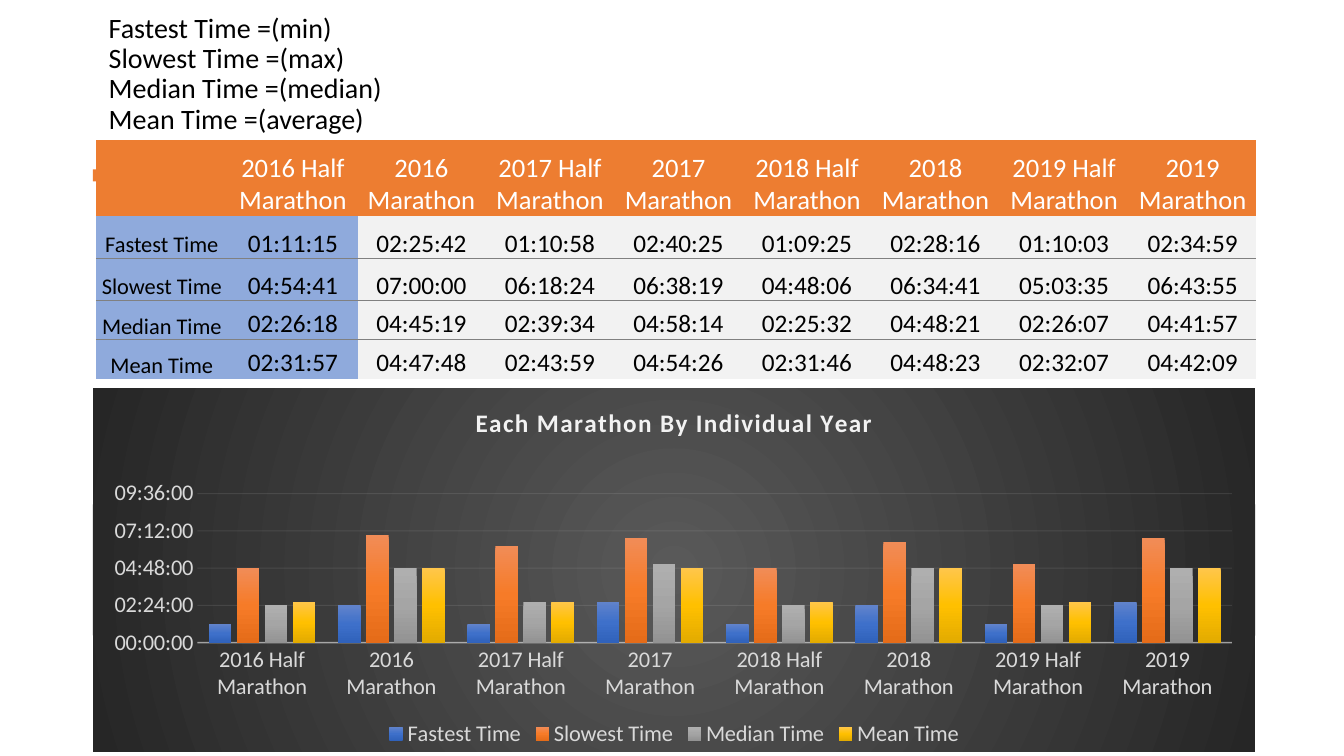
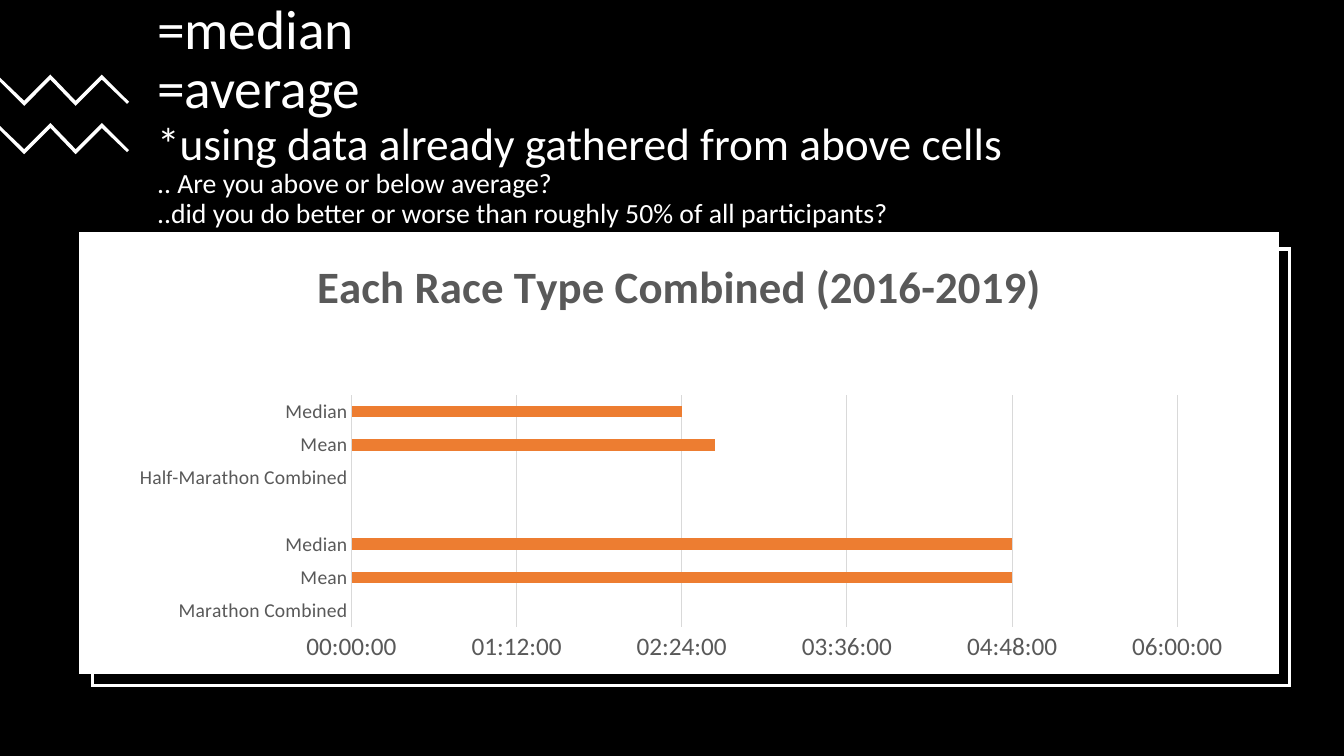
from lxml.etree import SubElement
from pptx import Presentation
from pptx.chart.data import CategoryChartData
from pptx.dml.color import RGBColor
from pptx.enum.chart import XL_CHART_TYPE, XL_LEGEND_POSITION, XL_TICK_MARK
from pptx.enum.shapes import MSO_SHAPE
from pptx.enum.text import MSO_ANCHOR, PP_ALIGN
from pptx.oxml import parse_xml
from pptx.oxml.ns import nsdecls, qn
from pptx.util import Inches, Pt

FONT = "Calibri"
WHITE, BLACK, ORANGE, BLUE, PALE = "FFFFFF", "000000", "ED7D31", "8FAADC", "F2F2F2"
WIDE, HIGH = 13.33, 7.5


def hue(code):
    return RGBColor.from_string(code)


def write(frame, text, size=18, color=BLACK, bold=False, align=None, lead=None, track=0):
    para = frame.paragraphs[0]
    para.alignment, para.line_spacing = align, lead
    for line in text.split("\n"):
        if para.runs:
            para.add_line_break()
        run = para.add_run()
        run.text = line
        font = run.font
        font.name, font.size, font.bold = FONT, Pt(size), bold
        font.color.rgb = hue(color)
        if track:
            run._r.get_or_add_rPr().set("spc", str(track))


deck = Presentation()
deck.slide_width, deck.slide_height = Inches(WIDE), Inches(HIGH)
years, combo = [deck.slides.add_slide(deck.slide_layouts[6]) for _ in range(2)]

for page, box, fill, edge in [
    (years, (0.92, 1.68, 2.05, 0.12), ORANGE, None),
    (combo, (0, 0, WIDE, HIGH), BLACK, None),
    (combo, (0.92, 2.47, 11.87, 4.33), BLACK, WHITE),
    (combo, (0.8, 2.32, 11.87, 4.35), WHITE, WHITE),
]:
    rect = page.shapes.add_shape(MSO_SHAPE.RECTANGLE, *map(Inches, box))
    rect.shadow.inherit = False
    rect.fill.solid()
    rect.fill.fore_color.rgb = hue(fill)
    if edge:
        rect.line.color.rgb = hue(edge)
        rect.line.width = Pt(2.25)
        SubElement(rect.line._get_or_add_ln(), qn("a:miter")).set("lim", "800000")
    else:
        rect.line.fill.background()

for page, box, anchor, color, lines in [
    (years, (0.98, 0.78, 11.43, 0.61), MSO_ANCHOR.BOTTOM, BLACK, [
        ("Fastest Time =(min)\nSlowest Time =(max)\n"
         "Median Time =(median)\nMean Time =(average)", 20)]),
    (combo, (1.46, 0.44, 10.66, 1.41), MSO_ANCHOR.MIDDLE, WHITE, [
        ("=median\n=average", 39.6),
        ("*using data already gathered from above cells", 32.4),
        (".. Are you above or below average?\n"
         "..did you do better or worse than roughly 50% of all participants?", 19.8)]),
]:
    frame = page.shapes.add_textbox(*map(Inches, box)).text_frame
    frame.word_wrap, frame.vertical_anchor = True, anchor
    for text, size in lines:
        write(frame, text, size=size, color=color, lead=0.9)

zigzag = [(0, 77), (24, 100), (50, 74), (75, 100), (101, 74), (128, 101),
          (126, 103), (101, 79), (75, 105), (50, 79), (24, 105), (0, 81)]
for drop in (0, 48):
    dots = [(x, y + drop) for x, y in zigzag]
    pen = combo.shapes.build_freeform(*dots[0], scale=Inches(0.01))
    pen.add_line_segments(dots[1:])
    wave = pen.convert_to_shape()
    wave.shadow.inherit = False
    wave.fill.solid()
    wave.fill.fore_color.rgb = hue(WHITE)
    wave.line.fill.background()

races = [f"{year} {kind}" for year in range(2016, 2020) for kind in ("Half Marathon", "Marathon")]
rows = [
    [""] + races,
    "Fastest Time,01:11:15,02:25:42,01:10:58,02:40:25,01:09:25,02:28:16,01:10:03,02:34:59".split(","),
    "Slowest Time,04:54:41,07:00:00,06:18:24,06:38:19,04:48:06,06:34:41,05:03:35,06:43:55".split(","),
    "Median Time,02:26:18,04:45:19,02:39:34,04:58:14,02:25:32,04:48:21,02:26:07,04:41:57".split(","),
    "Mean Time,02:31:57,04:47:48,02:43:59,04:54:26,02:31:46,04:48:23,02:32:07,04:42:09".split(","),
]
table = years.shapes.add_table(5, 9, *map(Inches, (0.95, 1.39, 11.5, 2.16))).table
table.first_row = table.horz_banding = False
table._tbl.tblPr.find(qn("a:tableStyleId")).text = "{2D5ABB26-0587-4C30-8999-92F81FD0307C}"
for c, col in enumerate(table.columns):
    col.width = Inches(1.31 if c == 0 else 1.29 if c % 2 else 1.26)
for r, (row, tall) in enumerate(zip(table.rows, (0.7, 0.38, 0.38, 0.35, 0.35))):
    row.height = Inches(tall)
    for c, cell in enumerate(row.cells):
        cell.margin_left = cell.margin_right = Inches(0.01)
        cell.margin_top = Inches(0.01 if r > 2 and c else 0.12)
        cell.margin_bottom = 0
        cell.vertical_anchor = MSO_ANCHOR.BOTTOM if r else MSO_ANCHOR.MIDDLE
        cell.fill.solid()
        cell.fill.fore_color.rgb = hue(ORANGE if r == 0 else BLUE if c < 2 else PALE)
        if rows[r][c]:
            write(cell.text_frame, rows[r][c], size=19 if r == 0 else 18 if c else 16,
                  color=BLACK if r else WHITE, align=PP_ALIGN.CENTER)
        if 0 < r < 4:
            cell._tc.get_or_add_tcPr().insert(0, parse_xml(
                f'<a:lnB {nsdecls("a")} w="9525"><a:solidFill><a:srgbClr val="808080"/>'
                '</a:solidFill></a:lnB>'))

plots = [
    dict(page=years, box=(0.92, 3.85, 11.53, 3.61), kind=XL_CHART_TYPE.COLUMN_CLUSTERED,
         cats=races, title="Each Marathon By Individual Year", size=18, ink=PALE, track=100,
         text="D9D9D9", sizes=(16, 16), line=PALE, weight=1, grid=PALE, fade=(54, 10),
         top=0.4, step=0.1, gap=100, lap=-24, area=(0.09, 0.29, 0.89, 0.41), dark=True,
         data=[
             ("Fastest Time", (0.05, 0.1, 0.05, 0.11, 0.05, 0.1, 0.05, 0.11),
              ("6183CB", "3E70CA", "3062BB")),
             ("Slowest Time", (0.2, 0.29, 0.26, 0.28, 0.2, 0.27, 0.21, 0.28),
              ("F18C57", "F67B28", "E56C19")),
             ("Median Time", (0.1, 0.2, 0.11, 0.21, 0.1, 0.2, 0.1, 0.2),
              ("AFAFAF", "A5A5A5", "939393")),
             ("Mean Time", (0.11, 0.2, 0.11, 0.2, 0.11, 0.2, 0.11, 0.2),
              ("FFC64B", "FFC000", "E3AB00"))]),
    dict(page=combo, box=(1.13, 2.31, 11.22, 4.35), kind=XL_CHART_TYPE.BAR_CLUSTERED,
         cats=["Marathon Combined", "Mean", "Median", "", "Half-Marathon Combined", "Mean", "Median"],
         title="Each Race Type Combined (2016-2019)", size=32, ink="595959", track=0,
         text="595959", sizes=(14, 18), line="D9D9D9", weight=0.75, grid="D9D9D9", fade=(100, 100),
         top=0.25, step=0.05, gap=182, lap=0, area=(0.21, 0.37, 0.73, 0.53), dark=False,
         data=[("Series 1", (None, 0.2, 0.2, None, None, 0.11, 0.1), (ORANGE,))]),
]
for plan in plots:
    data = CategoryChartData(number_format="hh:mm:ss")
    data.categories = plan["cats"]
    for name, vals, _ in plan["data"]:
        data.add_series(name, vals)
    chart = plan["page"].shapes.add_chart(plan["kind"], *map(Inches, plan["box"]), data).chart
    chart.font.name, chart.font.size = FONT, Pt(10)
    chart.font.color.rgb = hue(BLACK)
    chart.has_title = True
    write(chart.chart_title.text_frame, plan["title"], size=plan["size"], color=plan["ink"],
          bold=True, track=plan["track"])
    chart.chart_title.include_in_layout = False

    cat, val = chart.category_axis, chart.value_axis
    fonts = [cat.tick_labels.font, val.tick_labels.font]
    sizes = list(plan["sizes"])
    chart.has_legend = len(plan["data"]) > 1
    if chart.has_legend:
        chart.legend.position = XL_LEGEND_POSITION.BOTTOM
        chart.legend.include_in_layout = False
        fonts.append(chart.legend.font)
        sizes.append(16)
    for font, size in zip(fonts, sizes):
        font.name, font.size = FONT, Pt(size)
        font.color.rgb = hue(plan["text"])
    for axis in (cat, val):
        axis.major_tick_mark = axis.minor_tick_mark = XL_TICK_MARK.NONE
    val.minimum_scale, val.maximum_scale, val.major_unit = 0, plan["top"], plan["step"]
    val.tick_labels.number_format = "hh:mm:ss"
    val.tick_labels.number_format_is_linked = False
    val.format.line.fill.background()
    cat.has_major_gridlines, val.has_major_gridlines = False, True
    for line, color, weight in [(cat.format.line, plan["line"], plan["weight"]),
                                (val.major_gridlines.format.line, plan["grid"], 0.75)]:
        line.color.rgb = hue(color)
        line.width = Pt(weight)
    for axis, route, part in zip((cat, val), ("c:spPr", "c:majorGridlines"), plan["fade"]):
        for tint in axis._element.xpath(f"./{route}//a:srgbClr"):
            SubElement(tint, qn("a:alpha")).set("val", str(part * 1000))

    plot = chart.plots[0]
    plot.vary_by_categories = False
    plot.gap_width, plot.overlap = plan["gap"], plan["lap"]
    shades = []
    for bars, (_, _, tints) in zip(plot.series, plan["data"]):
        bars.invert_if_negative = False
        if len(tints) == 1:
            bars.format.fill.solid()
            bars.format.fill.fore_color.rgb = hue(tints[0])
        else:
            shades.append((bars._element.get_or_add_spPr(), tints, '<a:lin ang="5400000" scaled="0"/>'))
    root = chart._chartSpace
    back = parse_xml(f'<c:spPr {nsdecls("c", "a")}><a:ln><a:noFill/></a:ln></c:spPr>')
    root.find(qn("c:chart")).addnext(back)
    if plan["dark"]:
        shades.append((back, ("595959", "262626"), '<a:path path="circle">'
                       '<a:fillToRect l="50000" t="50000" r="50000" b="50000"/></a:path>'))
    else:
        back.insert(0, parse_xml(f'<a:noFill {nsdecls("a")}/>'))
    for home, tints, tail in shades:
        stops = "".join(f'<a:gs pos="{100000 * n // (len(tints) - 1)}"><a:srgbClr val="{tint}"/></a:gs>'
                        for n, tint in enumerate(tints))
        home.insert(0, parse_xml(f'<a:gradFill {nsdecls("a")} rotWithShape="1">'
                                 f'<a:gsLst>{stops}</a:gsLst>{tail}</a:gradFill>'))

    area = root.find(qn("c:chart")).find(qn("c:plotArea"))
    for old in area.findall(qn("c:layout")):
        area.remove(old)
    marks = "".join(f'<c:{key} val="{share}"/>' for key, share in zip("xywh", plan["area"]))
    area.insert(0, parse_xml(
        f'<c:layout {nsdecls("c")}><c:manualLayout><c:layoutTarget val="inner"/>'
        f'<c:xMode val="edge"/><c:yMode val="edge"/>{marks}</c:manualLayout></c:layout>'))

deck.save("out.pptx")
